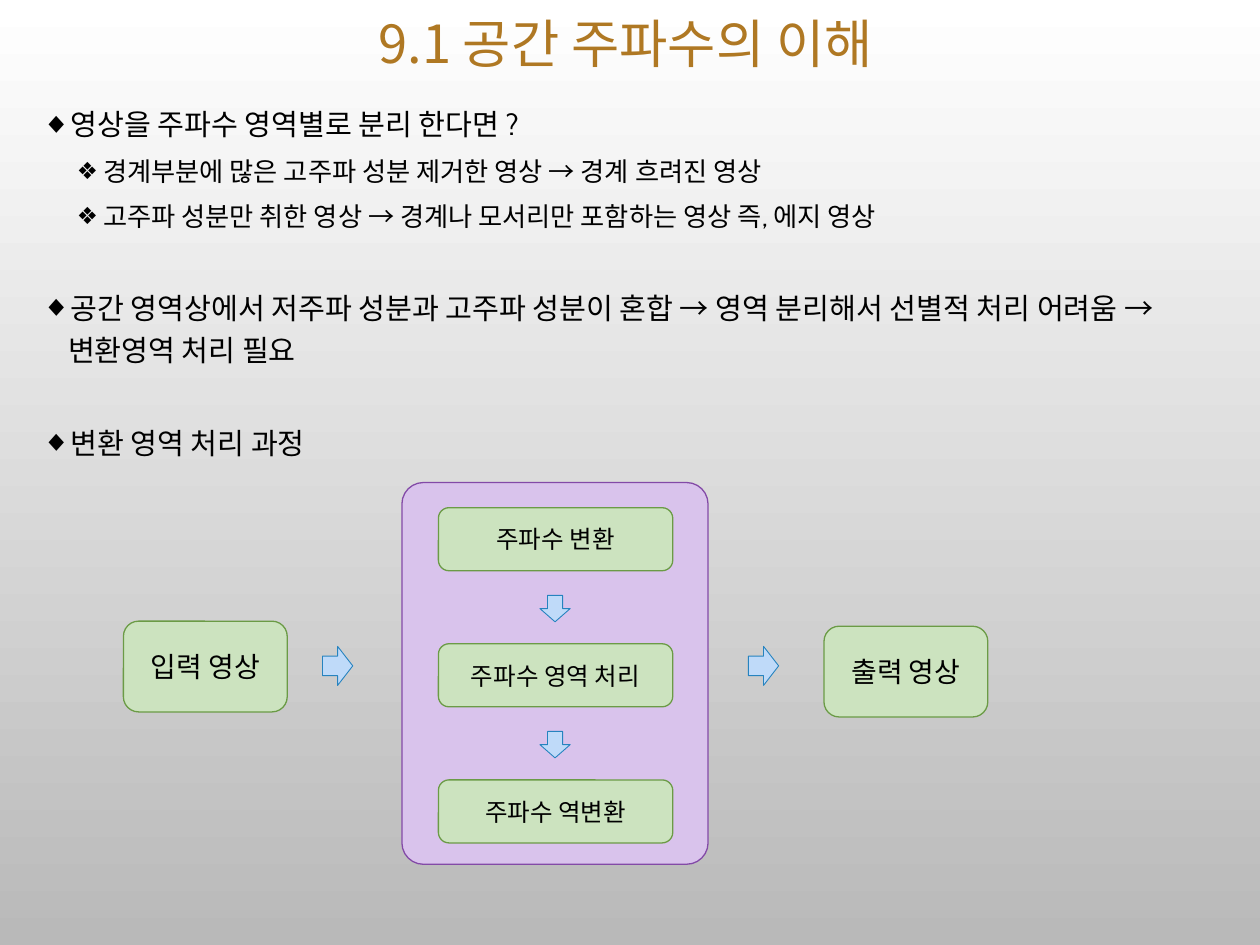
from dataclasses import dataclass

from lxml.etree import SubElement
from pptx import Presentation
from pptx.dml.color import RGBColor
from pptx.enum.shapes import MSO_SHAPE
from pptx.enum.text import MSO_ANCHOR, MSO_AUTO_SIZE, PP_ALIGN
from pptx.oxml.ns import qn
from pptx.util import Inches, Pt


@dataclass(frozen=True)
class Theme:
    latin: str = "Cabin"
    korean: str = "Noto Sans CJK KR"
    ink: str = "000000"
    title: str = "AF7823"
    background: tuple = ("FFFFFF", "B9B9B9")
    # Fill, line, line width
    group: tuple = ("D9C3EC", "834AA7", 0.75)
    step: tuple = ("CCE3BF", "6B9B46", 0.75)
    arrow: tuple = ("BFDAF9", "2683BF", 0.5)
    title_size: float = 30
    end_size: float = 16
    step_size: float = 14


# Bullet, its size in percent, text size, left indent in inches, space before
LEVELS = (
    ("◆", 100, 16.7, 0.21, 8.3),
    ("❖", 90, 15, 0.49, 4.2),
)
HANGING = 0.21
SECTION_GAP = 29.2  # space before a bullet that opens a new section

# Level, opens a section, text
BULLETS = (
    (0, False, "영상을 주파수 영역별로 분리 한다면 ?"),
    (1, False, "경계부분에 많은 고주파 성분 제거한 영상 → 경계 흐려진 영상"),
    (1, False, "고주파 성분만 취한 영상 → 경계나 모서리만 포함하는 영상 즉, 에지 영상"),
    (0, True, "공간 영역상에서 저주파 성분과 고주파 성분이 혼합 → "
              "영역 분리해서 선별적 처리 어려움 → 변환영역 처리 필요"),
    (0, True, "변환 영역 처리 과정"),
)
STEPS = ("주파수 변환", "주파수 영역 처리", "주파수 역변환")


def apply(target, values):
    for name, value in values.items():
        setattr(target, name, value)


class SlideBuilder:
    """Places elements on a grid of 100 columns by 75 rows."""

    def __init__(self, deck, theme):
        self.theme = theme
        self.column = deck.slide_width / 100
        self.row = deck.slide_height / 75
        self.page = deck.slides.add_slide(deck.slide_layouts[1])

    def area(self, left, top, width, height):
        return (round(left * self.column), round(top * self.row),
                round(width * self.column), round(height * self.row))

    def background(self):
        fill = self.page.background.fill
        fill.gradient()
        fill.gradient_angle = 270
        for stop, color in zip(fill.gradient_stops, self.theme.background):
            stop.color.rgb = RGBColor.from_string(color)

    def add_text(self, para, text, size, color, latin):
        span = para.add_run()
        span.text = text
        apply(span.font, {"size": Pt(size), "name": latin, "bold": False})
        span.font.color.rgb = RGBColor.from_string(color)
        SubElement(span._r.get_or_add_rPr(), qn("a:ea"), typeface=self.theme.korean)

    def place(self, box, area, anchor):
        apply(box, dict(zip(("left", "top", "width", "height"), self.area(*area))))
        apply(box.text_frame, {"word_wrap": True, "vertical_anchor": anchor,
                               "auto_size": MSO_AUTO_SIZE.NONE})

    def title(self, text, area):
        box = self.page.shapes.title
        self.place(box, area, MSO_ANCHOR.MIDDLE)
        para = box.text_frame.paragraphs[0]
        apply(para, {"alignment": PP_ALIGN.CENTER, "line_spacing": 0.9})
        self.add_text(para, text, self.theme.title_size, self.theme.title, self.theme.korean)

    def bullet(self, para, symbol, percent, indent):
        properties = para._p.get_or_add_pPr()
        properties.set("marL", str(Inches(indent)))
        properties.set("indent", str(-Inches(HANGING)))
        color = SubElement(properties, qn("a:buClr"))
        SubElement(color, qn("a:srgbClr"), val=self.theme.ink)
        SubElement(properties, qn("a:buSzPct"), val=str(percent * 1000))
        SubElement(properties, qn("a:buChar"), char=symbol)

    def bullets(self, items, area):
        box = self.page.placeholders[1]
        self.place(box, area, MSO_ANCHOR.TOP)
        frame = box.text_frame
        for index, (level, opens_section, text) in enumerate(items):
            para = frame.add_paragraph() if index else frame.paragraphs[0]
            symbol, percent, size, indent, gap = LEVELS[level]
            self.bullet(para, symbol, percent, indent)
            before = (SECTION_GAP if opens_section else gap) if index else 0
            apply(para, {"level": level, "alignment": PP_ALIGN.LEFT, "line_spacing": 1.2,
                         "space_before": Pt(before), "space_after": Pt(0)})
            self.add_text(para, text, size, self.theme.ink, self.theme.latin)

    def shape(self, kind, area, style):
        shape = self.page.shapes.add_shape(kind, *self.area(*area))
        fill, line, width = style
        shape.shadow.inherit = False
        shape.fill.solid()
        shape.fill.fore_color.rgb = RGBColor.from_string(fill)
        shape.line.color.rgb = RGBColor.from_string(line)
        shape.line.width = Pt(width)
        return shape

    def group(self, area):
        panel = self.shape(MSO_SHAPE.ROUNDED_RECTANGLE, area, self.theme.group)
        panel.adjustments[0] = 0.07

    def step(self, text, area, size):
        box = self.shape(MSO_SHAPE.ROUNDED_RECTANGLE, area, self.theme.step)
        box.text_frame.vertical_anchor = MSO_ANCHOR.MIDDLE
        para = box.text_frame.paragraphs[0]
        para.alignment = PP_ALIGN.CENTER
        self.add_text(para, text, size, self.theme.ink, self.theme.latin)

    def arrow(self, area, rotation=0):
        self.shape(MSO_SHAPE.RIGHT_ARROW, area, self.theme.arrow).rotation = rotation


def main():
    deck = Presentation()
    deck.slide_width, deck.slide_height = Inches(10), Inches(7.5)
    theme = Theme()
    builder = SlideBuilder(deck, theme)

    # Heading and list
    builder.background()
    builder.title("9.1 공간 주파수의 이해", (2.3, 0.4, 94.7, 6.5))
    builder.bullets(BULLETS, (2.3, 7.4, 94.7, 67.2))

    # Input, transform stage and output
    builder.group((31.9, 38.3, 24.3, 30.3))
    builder.step("입력 영상", (9.8, 49.3, 13, 7.2), theme.end_size)
    builder.step("출력 영상", (65.4, 49.7, 13, 7.2), theme.end_size)
    for left in (25.6, 59.4):
        builder.arrow((left, 51.3, 2.4, 3.1))

    # Steps inside the stage, with an arrow after each but the last
    pitch = 10.8
    for index, text in enumerate(STEPS):
        top = 40.3 + index * pitch
        builder.step(text, (34.8, top, 18.6, 5), theme.step_size)
        if index < len(STEPS) - 1:
            builder.arrow((43, top + 6.8, 2.1, 2.4), rotation=90)

    deck.save("out.pptx")


if __name__ == "__main__":
    main()
